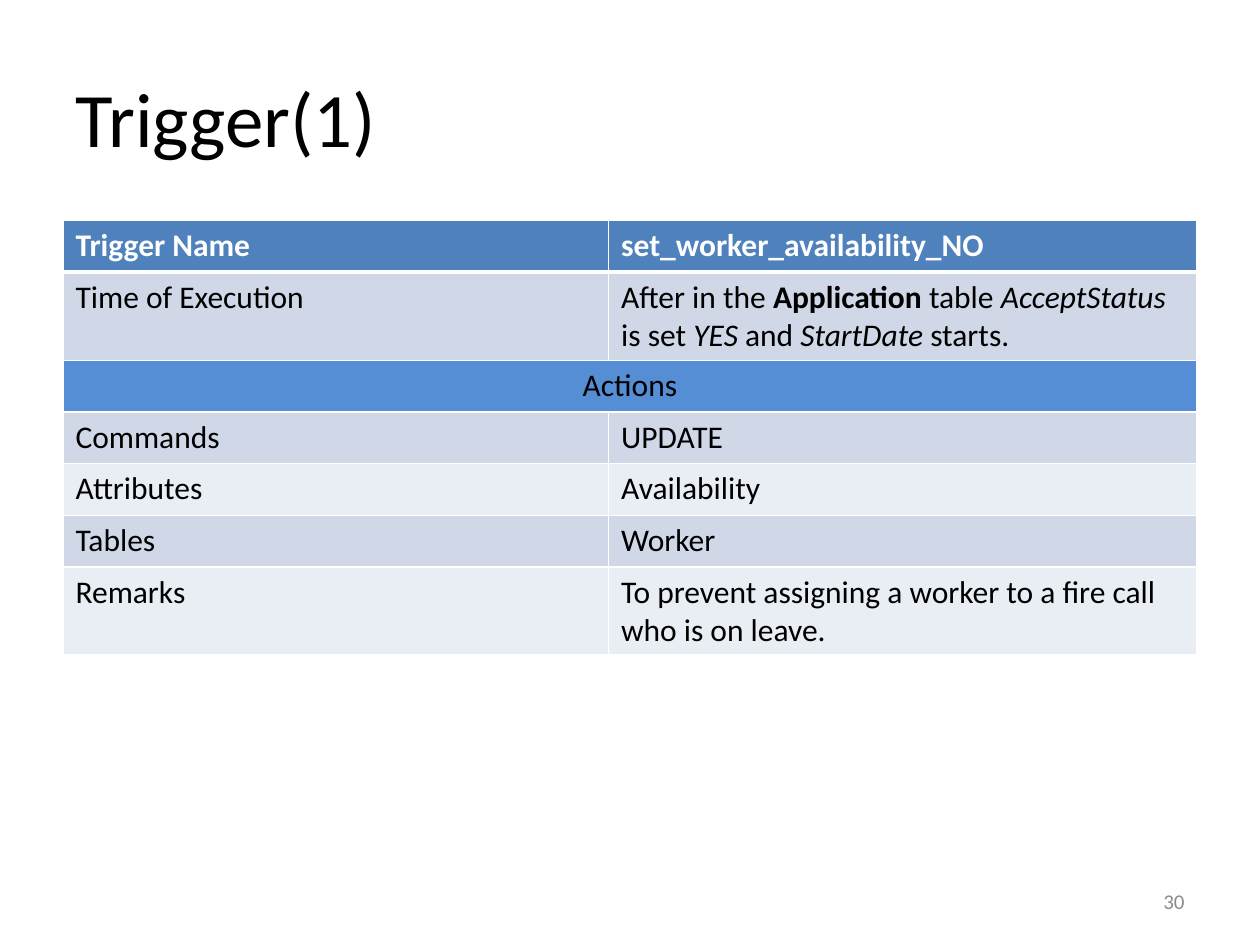
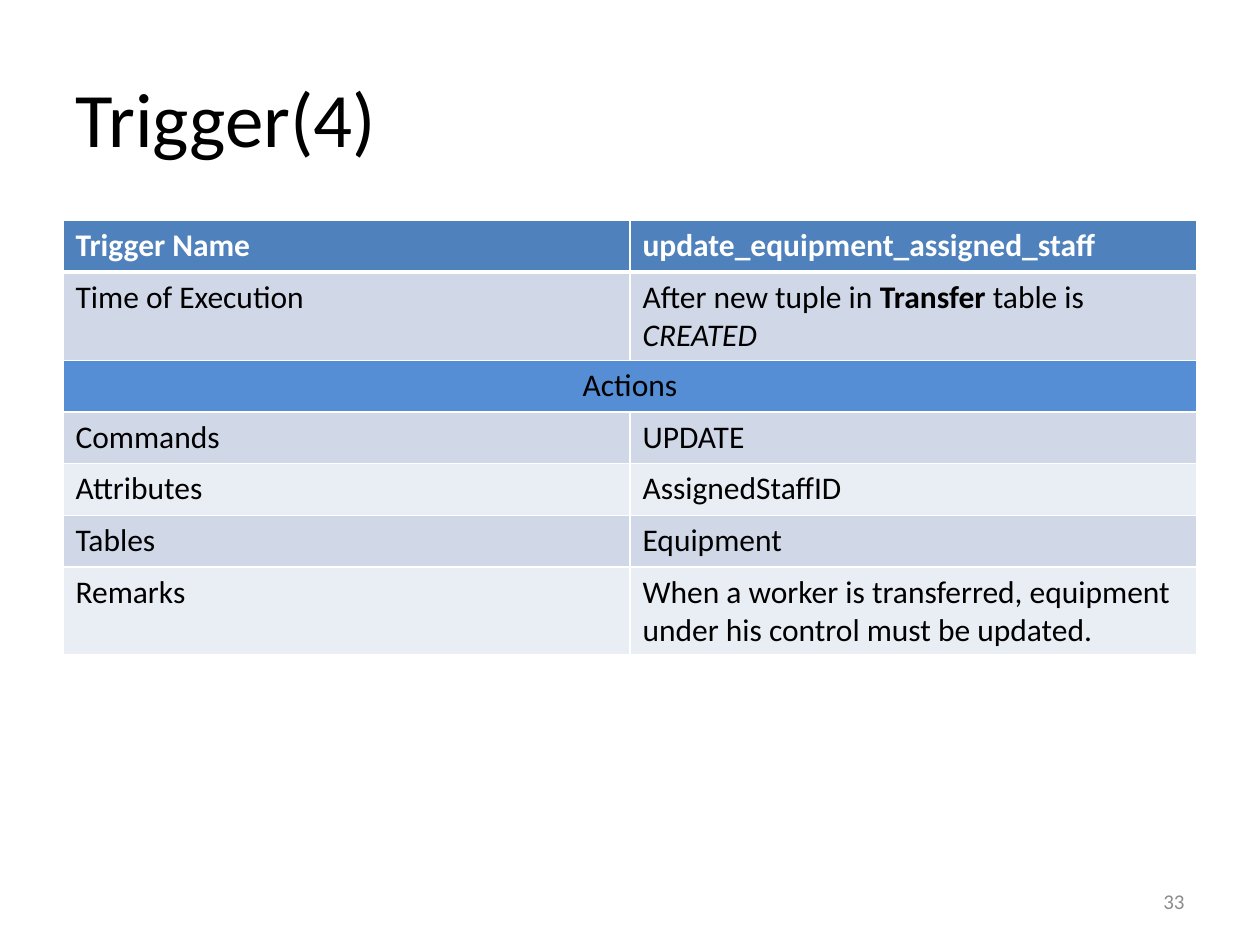
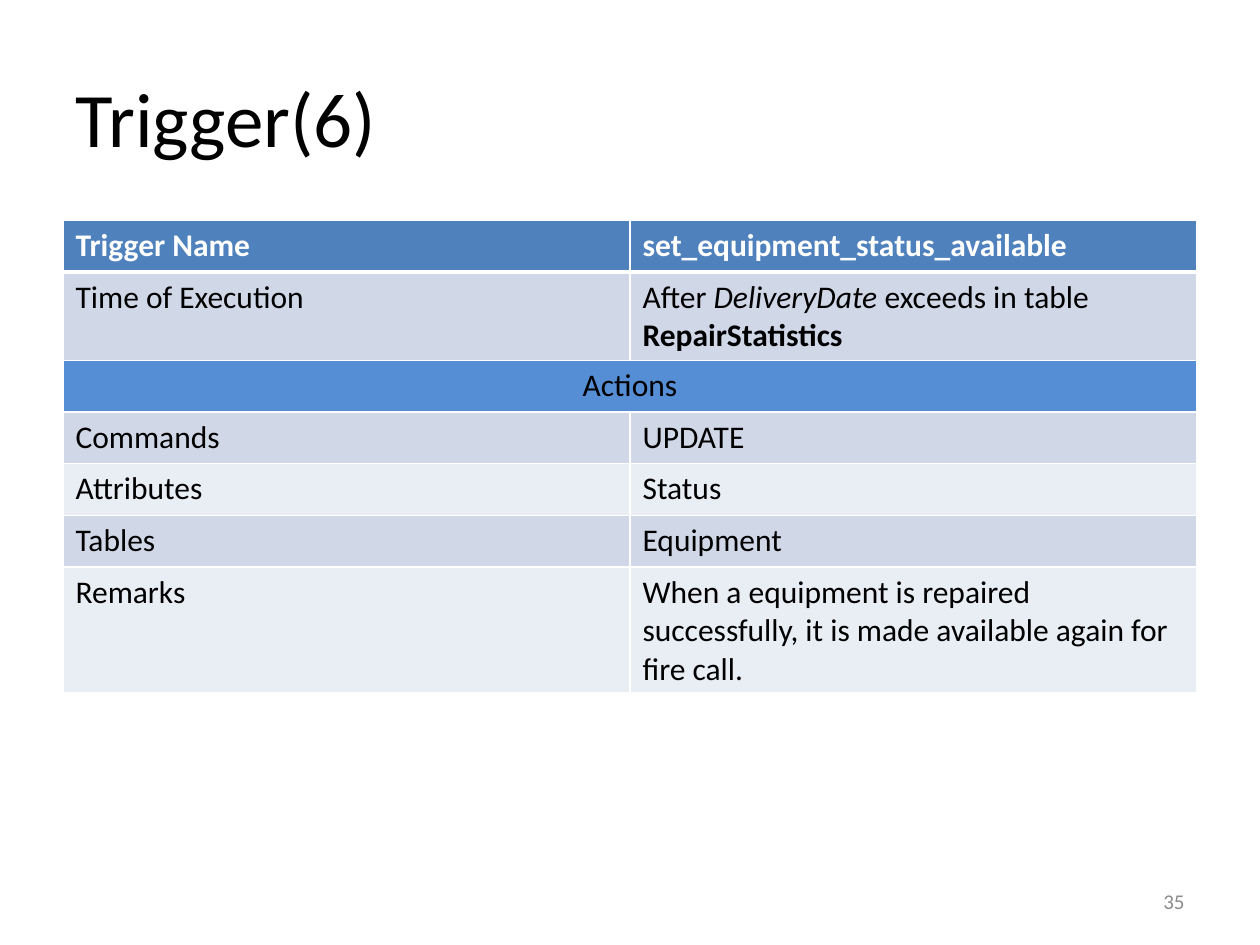
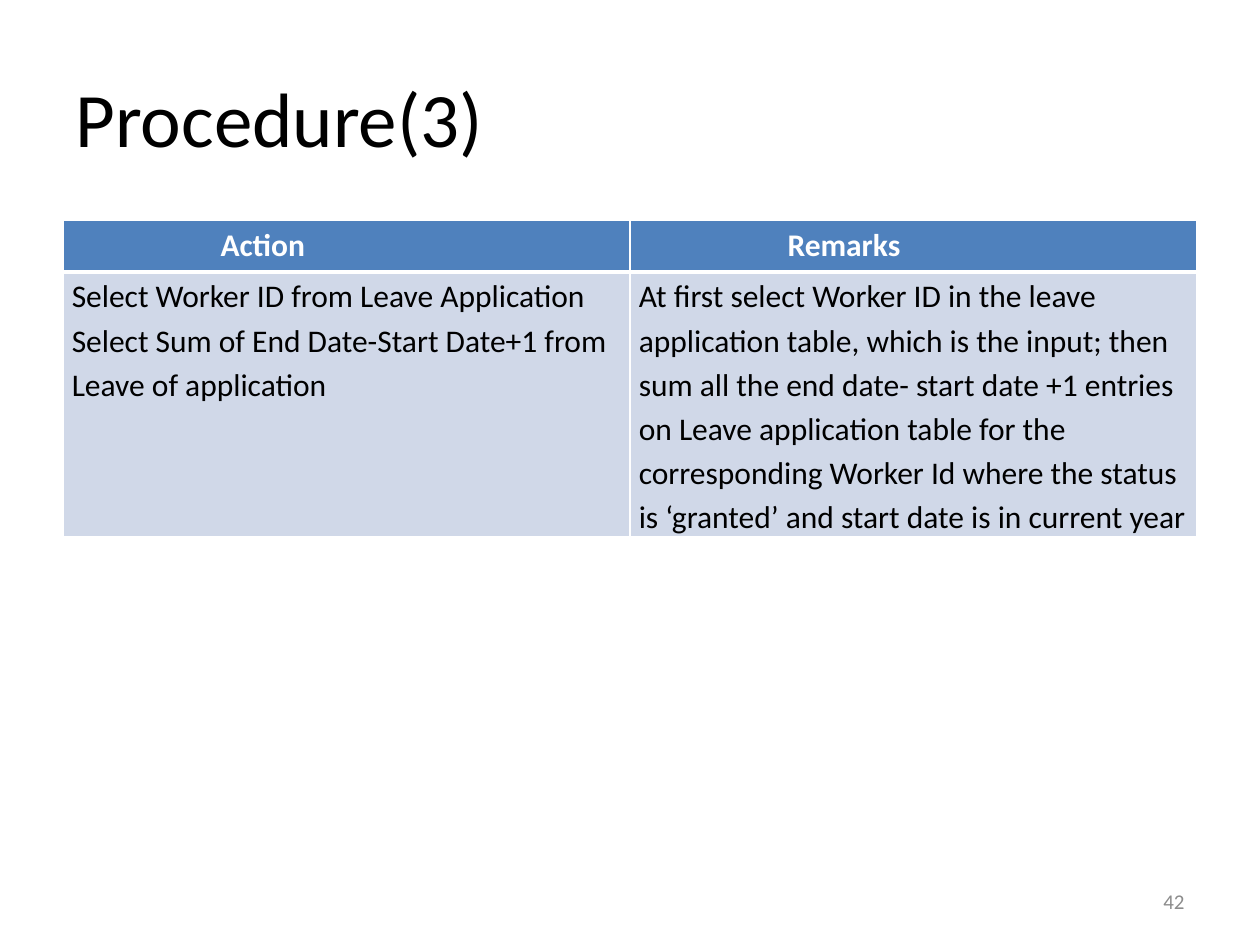
from pptx import Presentation
from pptx.dml.color import RGBColor
from pptx.enum.text import MSO_ANCHOR, PP_ALIGN
from pptx.oxml import parse_xml
from pptx.oxml.ns import nsdecls
from pptx.util import Inches, Pt

FONT = "Calibri"
WHITE, BLACK, GREY = "FFFFFF", "000000", "8C8C8C"
HEADER, SECTION = "4F81BD", "558ED5"
BANDS = ("E9EDF4", "D0D8E8")  # even rows, odd rows

LEFT, WIDTH = 0.5, 9
TABLE_TOP, ROW_HEIGHT = 1.75, 0.41
PROCEDURE_HEIGHT = 2.1  # holds six lines of text
HEADER_INDENT = 1.25

TITLE_FORMAT = {"name": FONT, "size": Pt(44)}
TABLE_FORMAT = {"name": FONT, "size": Pt(18)}
NUMBER_FORMAT = {"name": FONT, "size": Pt(12)}

TRIGGER_LABELS = ["Trigger Name", "Time of Execution", "Actions", "Commands",
                  "Attributes", "Tables", "Remarks"]

# A cell is a string or a list of (text, style) runs.
TRIGGERS = [
    {"title": "Trigger(1)", "number": 30, "first_col": 4.33, "values": [
        "set_worker_availability_NO",
        [("After in the ", ""), ("Application ", "bold"), ("table ", ""),
         ("AcceptStatus ", "italic"), ("is set ", ""), ("YES ", "italic"),
         ("and ", ""), ("StartDate", "italic"), (" starts.", "")],
        None, "UPDATE", "Availability", "Worker",
        "To prevent assigning a worker to a fire call who is on leave."]},
    {"title": "Trigger(4)", "number": 33, "first_col": 4.5, "values": [
        "update_equipment_assigned_staff",
        [("After new tuple in ", ""), ("Transfer ", "bold"), ("table is ", ""),
         ("CREATED", "italic")],
        None, "UPDATE", "AssignedStaffID", "Equipment",
        "When a worker is transferred, equipment under his control must be updated."]},
    {"title": "Trigger(6)", "number": 35, "first_col": 4.5, "values": [
        "set_equipment_status_available",
        [("After ", ""), ("DeliveryDate", "italic"), (" exceeds in table ", ""),
         ("RepairStatistics", "bold")],
        None, "UPDATE", "Status", "Equipment",
        "When a equipment is repaired successfully, it is made available again "
        "for fire call."]},
]

PROCEDURE = {"title": "Procedure(3)", "number": 42, "first_col": 4.5, "rows": [
    ("Action", "Remarks"),
    ("Select Worker ID from Leave Application\n"
     "Select Sum of End Date-Start Date+1 from Leave of application",
     "At first select Worker ID in the leave application table, which is the input; "
     "then sum all the end date- start date +1 entries on Leave application table "
     "for the corresponding Worker Id where the status is ‘granted’ and start date "
     "is in current year"),
]}


def rgb(value):
    return RGBColor.from_string(value)


def style_font(font, color, values):
    for name, value in values.items():
        setattr(font, name, value)
    font.color.rgb = rgb(color)


def add_slide(prs, title, number):
    slide = prs.slides.add_slide(prs.slide_layouts[5])
    sp = slide.shapes.title
    sp.left, sp.top, sp.width, sp.height = map(Inches, (LEFT, 0.3, WIDTH, 1.25))
    sp.text_frame.vertical_anchor = MSO_ANCHOR.MIDDLE
    p = sp.text_frame.paragraphs[0]
    p.text, p.alignment = title, PP_ALIGN.LEFT
    style_font(p.runs[0].font, BLACK, TITLE_FORMAT)

    box = slide.shapes.add_textbox(*map(Inches, (7.17, 6.95, 2.33, 0.4)))
    tf = box.text_frame
    tf.word_wrap, tf.vertical_anchor = True, MSO_ANCHOR.MIDDLE
    p = tf.paragraphs[0]
    p.text, p.alignment = str(number), PP_ALIGN.RIGHT
    style_font(p.runs[0].font, GREY, NUMBER_FORMAT)
    return slide


def set_borders(cell, row):
    """Draw white cell edges, with a thick rule below the header row."""
    widths = {"L": 1, "R": 1, "T": 3 if row == 1 else 1, "B": 3 if row == 0 else 1}
    for side, width in widths.items():
        cell._tc.get_or_add_tcPr().append(parse_xml(
            f'<a:ln{side} {nsdecls("a")} w="{Pt(width)}"><a:solidFill>'
            f'<a:srgbClr val="{WHITE}"/></a:solidFill></a:ln{side}>'))


def fill_cell(cell, content, row, color):
    set_borders(cell, row)
    cell.fill.solid()
    cell.fill.fore_color.rgb = rgb(color)
    p = cell.text_frame.paragraphs[0]
    runs = [(content, "")] if isinstance(content, str) else content or []
    for text, style in runs:
        for i, line in enumerate(text.split("\n")):
            if i:
                p.add_line_break()
            r = p.add_run()
            r.text = line
            style_font(r.font, WHITE if row == 0 else BLACK, TABLE_FORMAT)
            r.font.bold = row == 0 or style == "bold"
            r.font.italic = style == "italic"


def add_grid(slide, rows, first_col):
    frame = slide.shapes.add_table(len(rows), 2, *map(
        Inches, (LEFT, TABLE_TOP, WIDTH, ROW_HEIGHT * len(rows))))
    table = frame.table
    for col, width in zip(table.columns, (first_col, WIDTH - first_col)):
        col.width = Inches(width)
    for i, row in enumerate(rows):
        is_section = row[1] is None
        color = HEADER if i == 0 else SECTION if is_section else BANDS[i % 2]
        for j, content in enumerate(row):
            fill_cell(table.cell(i, j), content, i, color)
        if is_section:
            table.cell(i, 0).merge(table.cell(i, 1))
            table.cell(i, 0).text_frame.paragraphs[0].alignment = PP_ALIGN.CENTER
    return table


def add_trigger(prs, trigger):
    slide = add_slide(prs, trigger["title"], trigger["number"])
    add_grid(slide, list(zip(TRIGGER_LABELS, trigger["values"])), trigger["first_col"])


def add_procedure(prs, procedure):
    slide = add_slide(prs, procedure["title"], procedure["number"])
    table = add_grid(slide, procedure["rows"], procedure["first_col"])
    table.rows[1].height = Inches(PROCEDURE_HEIGHT)
    for i, row in enumerate(table.rows):
        for cell in row.cells:
            cell.margin_left = Inches(HEADER_INDENT if i == 0 else 0.07)
            cell.margin_right = Inches(0.07)
            cell.margin_top = cell.margin_bottom = 0
            cell.text_frame.paragraphs[0].line_spacing = 1.15


def main():
    prs = Presentation()
    prs.slide_width, prs.slide_height = Inches(10), Inches(7.5)
    for trigger in TRIGGERS:
        add_trigger(prs, trigger)
    add_procedure(prs, PROCEDURE)
    prs.save("out.pptx")


if __name__ == "__main__":
    main()
